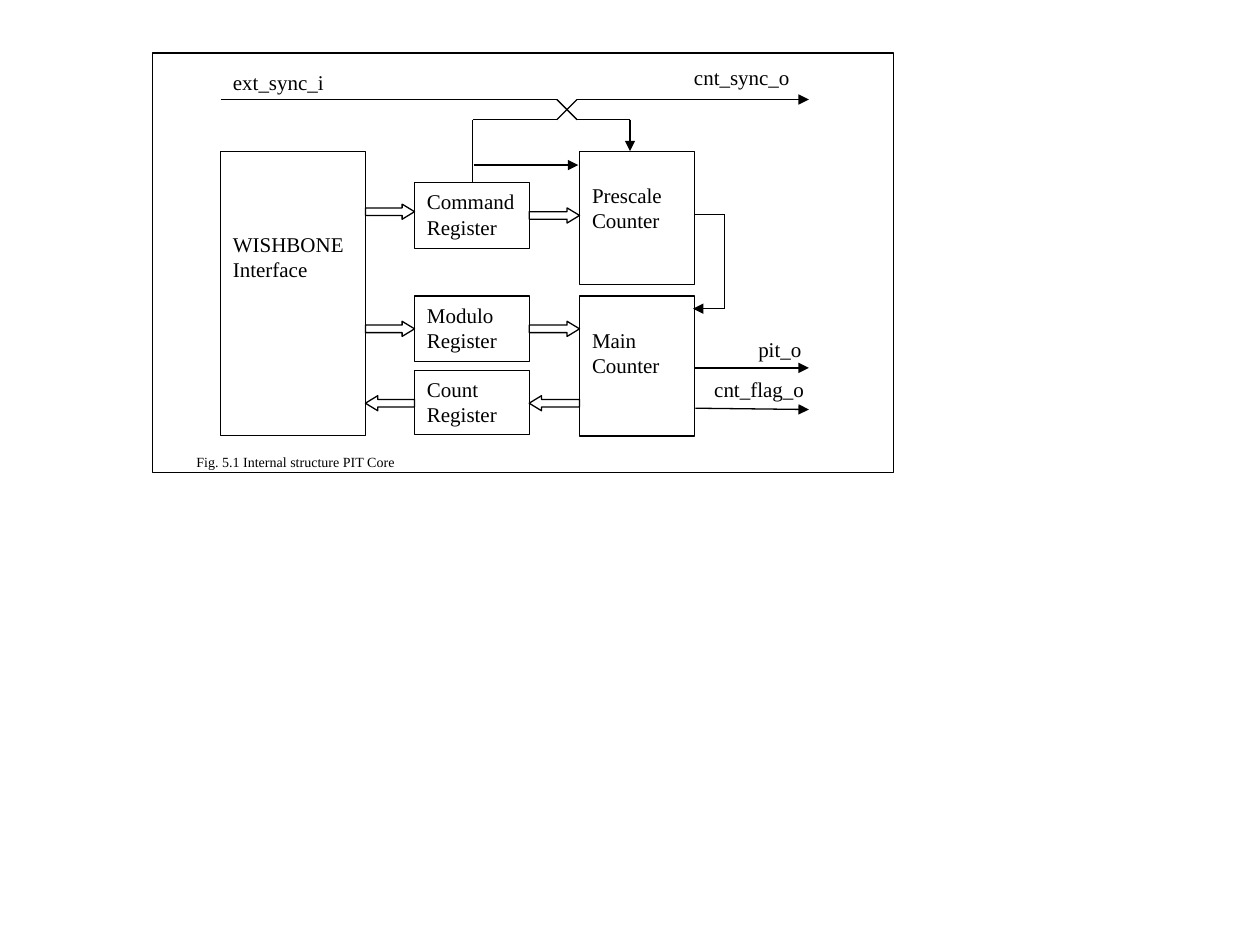
from lxml.etree import SubElement
from pptx import Presentation
from pptx.dml.color import RGBColor
from pptx.enum.shapes import MSO_CONNECTOR, MSO_SHAPE
from pptx.enum.text import MSO_ANCHOR, PP_ALIGN
from pptx.oxml.ns import qn
from pptx.util import Inches, Pt

BLACK = RGBColor(0, 0, 0)
WHITE = RGBColor(255, 255, 255)
FONT = "Times New Roman"

# Columns: left edge and width
BUS = (1.75, 1.15)
REG = (3.29, 0.91)
CNT = (4.6, 0.91)

# Blocks: column, top, height, top inset, lines
BLOCKS = [
    (BUS, 1.2, 2.26, 0.64, ["WISHBONE Interface"]),
    (REG, 1.45, 0.52, 0.05, ["Command Register"]),
    (REG, 2.35, 0.52, 0.05, ["Modulo Register"]),
    (REG, 2.94, 0.51, 0.05, ["Count Register"]),
    (CNT, 1.2, 1.06, 0.25, ["Prescale", "Counter"]),
    (CNT, 2.35, 1.11, 0.25, ["Main", "Counter"]),
]

# Block arrows: kind, tops in the left and right gaps
FLOWS = [
    (MSO_SHAPE.RIGHT_ARROW, 1.62, 1.65),
    (MSO_SHAPE.RIGHT_ARROW, 2.55, 2.55),
    (MSO_SHAPE.LEFT_ARROW, 3.14, 3.14),
]

# Wires: corner points of each run
WIRES = [
    [(1.75, 0.79), (4.42, 0.79), (4.58, 0.95), (5, 0.95)],
    [(3.75, 1.45), (3.75, 0.95), (4.42, 0.95), (4.58, 0.79)],
    [(5.52, 1.7), (5.75, 1.7), (5.75, 2.45)],
]

# Wires that end in an arrowhead
HEADS = [
    [(5, 0.95), (5, 1.2)],
    [(4.58, 0.79), (6.42, 0.79)],
    [(3.76, 1.31), (4.59, 1.31)],
    [(5.75, 2.45), (5.5, 2.45)],
    [(5.51, 2.92), (6.42, 2.92)],
    [(5.52, 3.24), (6.42, 3.25)],
]

# Labels: text, left, top, width
LABELS = [
    ("ext_sync_i", 1.75, 0.5, 0.92),
    ("cnt_sync_o", 5.41, 0.46, 0.96),
    ("pit_o", 5.92, 2.62, 0.54),
    ("cnt_flag_o", 5.57, 2.94, 0.91),
]


def apply(item, values):
    for name, value in values.items():
        setattr(item, name, value)


def write(shape, lines, size=12, inset=0.05, wrap=True):
    frame = shape.text_frame
    apply(frame, {
        "word_wrap": wrap,
        "vertical_anchor": MSO_ANCHOR.TOP,
        "margin_left": Inches(0.1),
        "margin_right": Inches(0.1),
        "margin_top": Inches(inset),
        "margin_bottom": Inches(0.05),
    })
    frame.text = "\n".join(lines)
    for para in frame.paragraphs:
        para.alignment = PP_ALIGN.LEFT
        apply(para.font, {"name": FONT, "size": Pt(size)})
        para.font.color.rgb = BLACK


def ink(line):
    line.color.rgb = BLACK
    line.width = Pt(0.75)


def draw(slide, kind, left, top, width, height, fill=WHITE):
    shape = slide.shapes.add_shape(
        kind, Inches(left), Inches(top), Inches(width), Inches(height))
    shape.shadow.inherit = False
    if fill is None:
        shape.fill.background()
    else:
        shape.fill.solid()
        shape.fill.fore_color.rgb = fill
    ink(shape.line)
    return shape


def label(slide, text, left, top, width, height=0.3, size=12, wrap=False):
    box = slide.shapes.add_textbox(
        Inches(left), Inches(top), Inches(width), Inches(height))
    write(box, [text], size, wrap=wrap)


def flow(slide, kind, left, top, width):
    arrow = draw(slide, kind, left, top, width, 0.12)
    arrow.adjustments[0] = 0.5
    arrow.adjustments[1] = 0.82


def wire(slide, points, head=False):
    for start, end in zip(points, points[1:]):
        link = slide.shapes.add_connector(
            MSO_CONNECTOR.STRAIGHT, *map(Inches, start + end))
        ink(link.line)
        if head:
            SubElement(link.line._get_or_add_ln(), qn("a:tailEnd"),
                       type="triangle")
        SubElement(link._element.spPr, qn("a:effectLst"))


def main():
    deck = Presentation()
    apply(deck, {"slide_width": Inches(10), "slide_height": Inches(7.5)})
    slide = deck.slides.add_slide(deck.slide_layouts[6])

    # Frame and caption
    draw(slide, MSO_SHAPE.RECTANGLE, 1.21, 0.42, 5.88, 3.33, None)
    label(slide, "Fig. 5.1 Internal structure PIT Core",
          1.46, 3.55, 2.22, 0.24, 8, True)

    # Blocks
    for (left, width), top, height, inset, lines in BLOCKS:
        block = draw(slide, MSO_SHAPE.RECTANGLE, left, top, width, height)
        write(block, lines, inset=inset)

    # Block arrows fill the gaps between columns
    for kind, *tops in FLOWS:
        for (left, width), (right, _), top in zip((BUS, REG), (REG, CNT), tops):
            edge = left + width
            flow(slide, kind, edge, top, right - edge)

    # Signal wires
    for points in WIRES:
        wire(slide, points)
    for points in HEADS:
        wire(slide, points, head=True)

    # Signal names
    for item in LABELS:
        label(slide, *item)

    deck.save("out.pptx")


if __name__ == "__main__":
    main()
